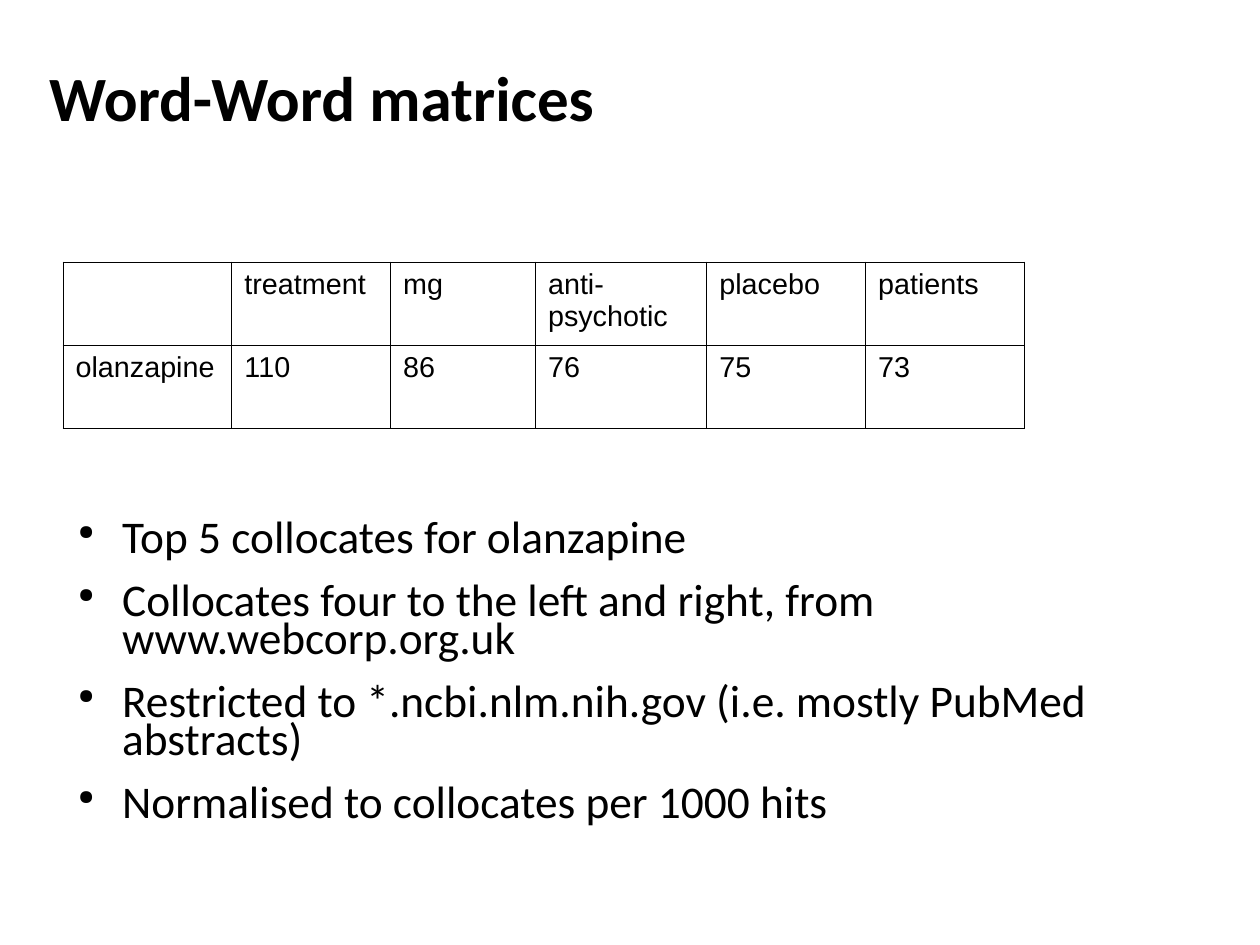
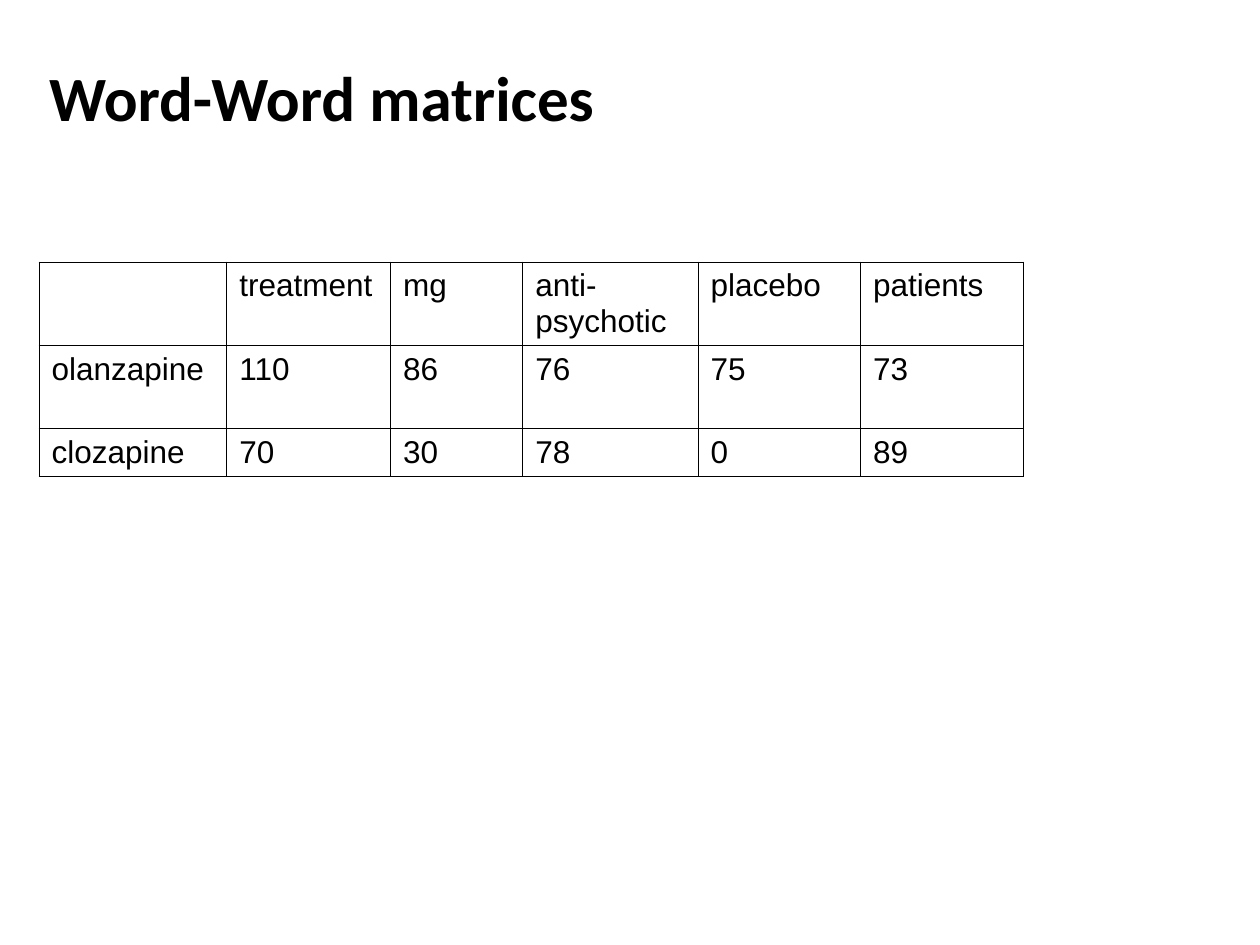
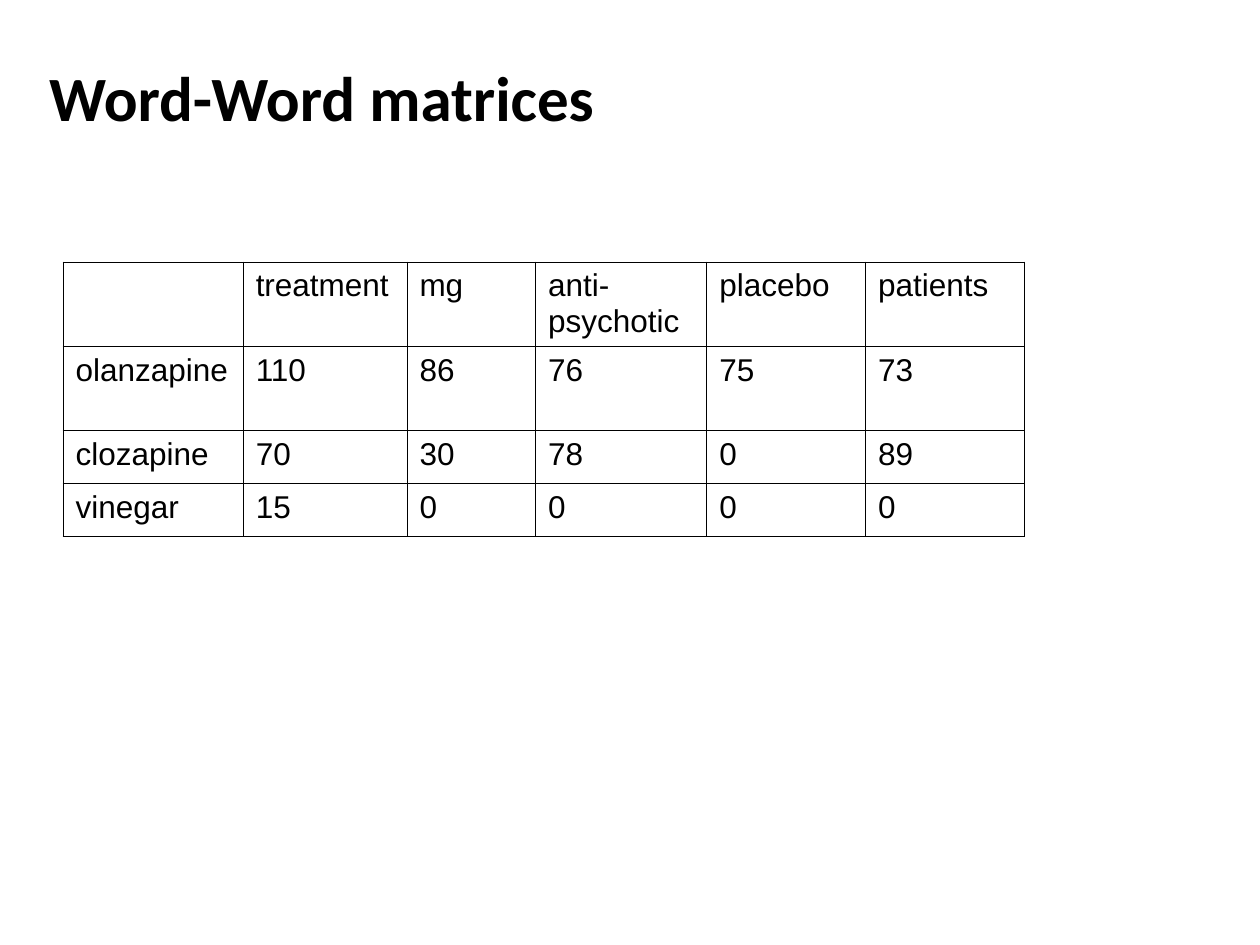
from lxml.etree import SubElement
from pptx import Presentation
from pptx.dml.color import RGBColor
from pptx.enum.text import MSO_ANCHOR, MSO_AUTO_SIZE, PP_ALIGN
from pptx.oxml.ns import qn
from pptx.util import Inches, Pt

BLACK = "000000"
HEADING_FONT = "Calibri"
TABLE_FONT = "Arial"
TITLE_ONLY = 5

HEADER = ["", "treatment", "mg", "anti-\npsychotic", "placebo", "patients"]
COUNTS = [
    ["olanzapine", "110", "86", "76", "75", "73"],
    ["clozapine", "70", "30", "78", "0", "89"],
    ["vinegar", "15", "0", "0", "0", "0"],
]
NOTES = """Top 5 collocates for olanzapine
Collocates four to the left and right, from www.webcorp.org.uk
Restricted to *.ncbi.nlm.nih.gov (i.e. mostly PubMed abstracts)
Normalised to collocates per 1000 hits"""

# One entry per slide: left edge, text size, column widths, row heights
MATRICES = [
    (0.5, 16.4, [1.34, 1.26, 1.15, 1.36, 1.26, 1.26], [0.66, 0.66]),
    (0.31, 18, [1.49, 1.3, 1.05, 1.39, 1.29, 1.29], [0.66, 0.66, 0.38]),
    (0.5, 18, [1.43, 1.3, 1.02, 1.36, 1.26, 1.26], [0.67, 0.67, 0.42, 0.42]),
]


def rgb(value):
    return RGBColor.from_string(value)


def add_bullet(para):
    props = para._p.get_or_add_pPr()
    props.set("marL", str(Inches(0.47)))
    props.set("indent", str(Inches(-0.35)))
    color = SubElement(props, qn("a:buClr"))
    SubElement(color, qn("a:srgbClr"), val=BLACK)
    SubElement(props, qn("a:buSzPct"), val="45000")
    SubElement(props, qn("a:buChar"), char="●")


def write_text(frame, text, size, font, bold=False, bullets=False,
               line_spacing=None, gap=0):
    """Write each line of text as one paragraph, with gap points between."""
    frame.word_wrap = True
    for index, line in enumerate(text.split("\n")):
        para = frame.add_paragraph() if index else frame.paragraphs[0]
        para.alignment = PP_ALIGN.LEFT
        para.space_before = Pt(gap if index else 0)
        if line_spacing:
            para.line_spacing = line_spacing
        if bullets:
            add_bullet(para)
        if line:
            span = para.add_run()
            span.text = line
            span.font.size = Pt(size)
            span.font.name = font
            span.font.bold = bold
            span.font.color.rgb = rgb(BLACK)


def clear_margins(frame):
    frame.margin_left = frame.margin_right = 0
    frame.margin_top = frame.margin_bottom = 0


def add_title(page, text):
    title = page.shapes.title
    title.left, title.top = Inches(0.39), Inches(0.14)
    title.width, title.height = Inches(9), Inches(1.25)
    frame = title.text_frame
    clear_margins(frame)
    frame.auto_size = MSO_AUTO_SIZE.NONE
    frame.vertical_anchor = MSO_ANCHOR.MIDDLE
    write_text(frame, text, 36, HEADING_FONT, bold=True)


def add_borders(cell):
    props = cell._tc.get_or_add_tcPr()
    for side in ("lnL", "lnR", "lnT", "lnB"):
        line = SubElement(props, qn(f"a:{side}"), w=str(Pt(0.57)))
        fill = SubElement(line, qn("a:solidFill"))
        SubElement(fill, qn("a:srgbClr"), val=BLACK)


def add_matrix(page, left, size, widths, heights):
    rows = [HEADER] + COUNTS[:len(heights) - 1]
    table = page.shapes.add_table(
        len(rows), len(widths), Inches(left), Inches(2.08),
        Inches(sum(widths)), Inches(sum(heights))).table
    table.first_row = table.horz_banding = False
    for column, width in zip(table.columns, widths):
        column.width = Inches(width)
    for row, height, texts in zip(table.rows, heights, rows):
        row.height = Inches(height)
        for cell, text in zip(row.cells, texts):
            add_borders(cell)
            cell.fill.background()
            write_text(cell.text_frame, text, size, TABLE_FONT)


def add_notes_list(page, text):
    box = page.shapes.add_textbox(Inches(0.5), Inches(4.15),
                                  Inches(9.07), Inches(2.5))
    clear_margins(box.text_frame)
    write_text(box.text_frame, text, 25.9, HEADING_FONT, bullets=True,
               line_spacing=0.7, gap=14.2)


def main():
    deck = Presentation()
    deck.slide_width, deck.slide_height = Inches(10), Inches(7.5)
    for matrix in MATRICES:
        page = deck.slides.add_slide(deck.slide_layouts[TITLE_ONLY])
        add_title(page, "Word-Word matrices")
        add_matrix(page, *matrix)
    add_notes_list(deck.slides[0], NOTES)
    deck.save("out.pptx")


if __name__ == "__main__":
    main()
